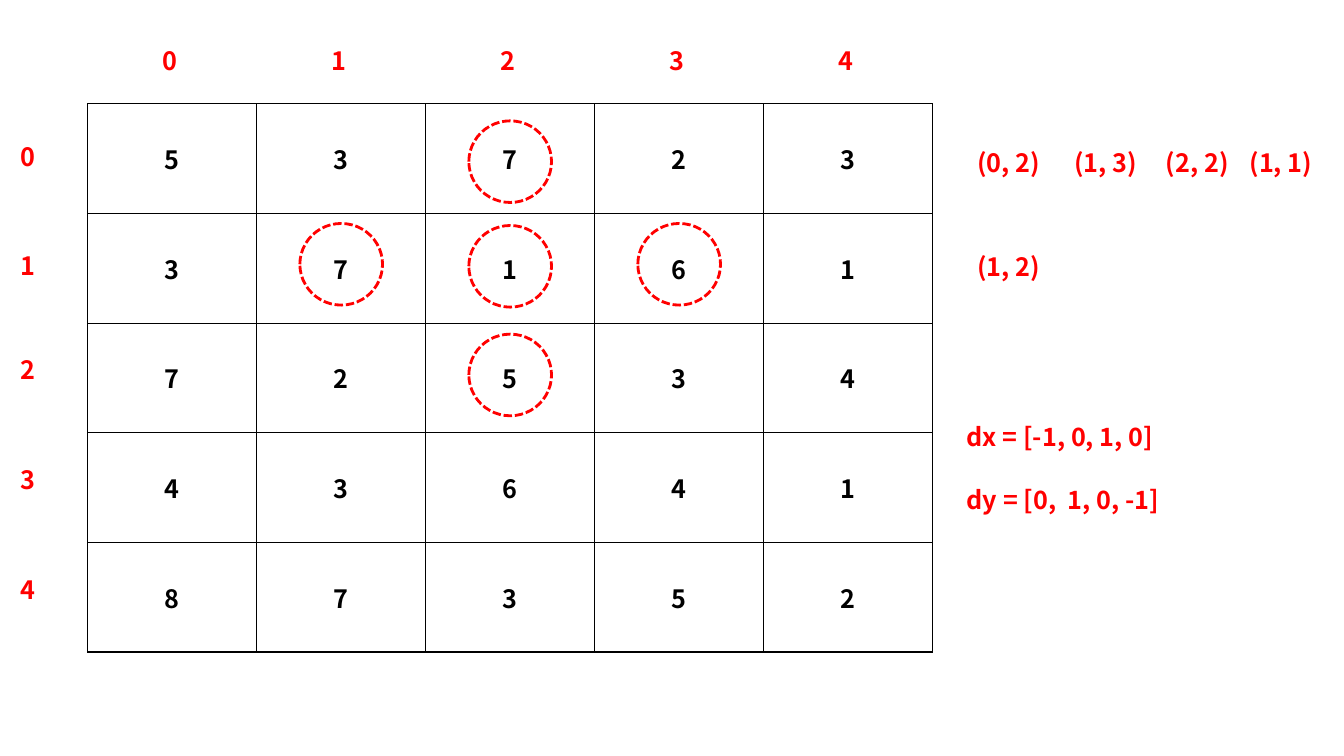
"""Builds a slide showing a number grid with a cell and its four neighbours."""
from lxml import etree
from pptx import Presentation
from pptx.dml.color import RGBColor
from pptx.enum import dml, shapes, text
from pptx.oxml.ns import qn
from pptx.util import Inches, Pt

COLORS = {"ink": "000000", "mark": "FF0000"}
FONT = "Noto Sans CJK KR"
NUMBERS = ["53723", "37161", "72534", "43641", "87352"]
SIZE = len(NUMBERS)
GRID = (0.87, 1.03, 8.38, 5.44)
LABEL_HEIGHT = 0.4
ROW_LABEL_TOPS = [1.35, 2.43, 3.47, 4.56, 5.65]
RINGS = [(0, 2, 0.03), (1, 1, -0.04), (1, 2, -0.02), (1, 3, -0.04), (2, 2, -0.03)]
NEIGHBOURS = [("(0, 2)", 0), ("(1, 3)", 0.96), ("(2, 2)", 1.87), ("(1, 1)", 2.7)]


def style(paragraph, color, align):
    """Apply the slide's bold type to a paragraph."""
    paragraph.alignment = align
    font = paragraph.font
    font.name, font.size, font.bold = FONT, Pt(18), True
    font.color.rgb = RGBColor.from_string(COLORS[color])


def add_label(slide, words, left, top, width, align=text.PP_ALIGN.CENTER):
    """Add one red line of text."""
    box = slide.shapes.add_textbox(*map(Inches, (left, top, width, LABEL_HEIGHT)))
    frame = box.text_frame
    frame.word_wrap = True
    frame.auto_size = text.MSO_AUTO_SIZE.SHAPE_TO_FIT_TEXT
    frame.text = words
    style(frame.paragraphs[0], "mark", align)


def add_borders(cell):
    """Draw a thin line on all four sides of a cell."""
    properties = cell._tc.get_or_add_tcPr()
    for index, side in enumerate(("a:lnL", "a:lnR", "a:lnT", "a:lnB")):
        line = etree.Element(qn(side), w=str(Pt(1)))
        fill = etree.SubElement(line, qn("a:solidFill"))
        etree.SubElement(fill, qn("a:srgbClr"), val=COLORS["ink"])
        properties.insert(index, line)


def add_grid(slide, left, top, width, height):
    """Add the table of numbers."""
    grid = slide.shapes.add_table(
        SIZE, SIZE, *map(Inches, (left, top, width, height))).table
    grid.first_row = grid.horz_banding = False
    for row, digits in enumerate(NUMBERS):
        for column, digit in enumerate(digits):
            cell = grid.cell(row, column)
            cell.text = digit
            cell.vertical_anchor = text.MSO_ANCHOR.MIDDLE
            cell.fill.background()
            style(cell.text_frame.paragraphs[0], "ink", text.PP_ALIGN.CENTER)
            add_borders(cell)


def add_indices(slide, left, top, width, height):
    """Number the columns above the grid and the rows beside it."""
    label_width = 0.56
    for index, row_top in enumerate(ROW_LABEL_TOPS):
        center = left + (index + 0.5) * width / SIZE
        add_label(slide, str(index), center - label_width / 2 - 0.02,
                  top - 0.63, label_width)
        add_label(slide, str(index), left - 0.87, row_top, label_width)


def add_rings(slide, left, top, width, height):
    """Circle the chosen cell and its neighbours."""
    ring_width, ring_height = 0.82, 0.81
    for row, column, shift in RINGS:
        x = left + (column + 0.5) * width / SIZE - ring_width / 2
        y = top + (row + 0.5) * height / SIZE - ring_height / 2 + shift
        ring = slide.shapes.add_shape(
            shapes.MSO_SHAPE.OVAL, *map(Inches, (x, y, ring_width, ring_height)))
        ring.shadow.inherit = False
        ring.fill.background()
        ring.line.color.rgb = RGBColor.from_string(COLORS["mark"])
        ring.line.width = Pt(2)
        ring.line.dash_style = dml.MSO_LINE.SQUARE_DOT


def add_notes(slide, left, top):
    """List the coordinates and the direction arrays beside the grid."""
    pair_width = 1.03
    for pair, offset in NEIGHBOURS:
        add_label(slide, pair, left + offset, top, pair_width)
    add_label(slide, "(1, 2)", left, top + 1.03, pair_width)
    add_label(slide, "dx = [-1, 0, 1, 0]", left, top + 2.72, 2.78,
              text.PP_ALIGN.LEFT)
    add_label(slide, "dy = [0,  1, 0, -1]", left, top + 3.35, 3.11,
              text.PP_ALIGN.LEFT)


def main():
    """Build and save the slide."""
    deck = Presentation()
    deck.slide_width, deck.slide_height = Inches(13.33), Inches(7.5)
    slide = deck.slides.add_slide(deck.slide_layouts[6])
    add_grid(slide, *GRID)
    add_indices(slide, *GRID)
    add_rings(slide, *GRID)
    add_notes(slide, 9.49, 1.41)
    deck.save("out.pptx")


if __name__ == "__main__":
    main()
